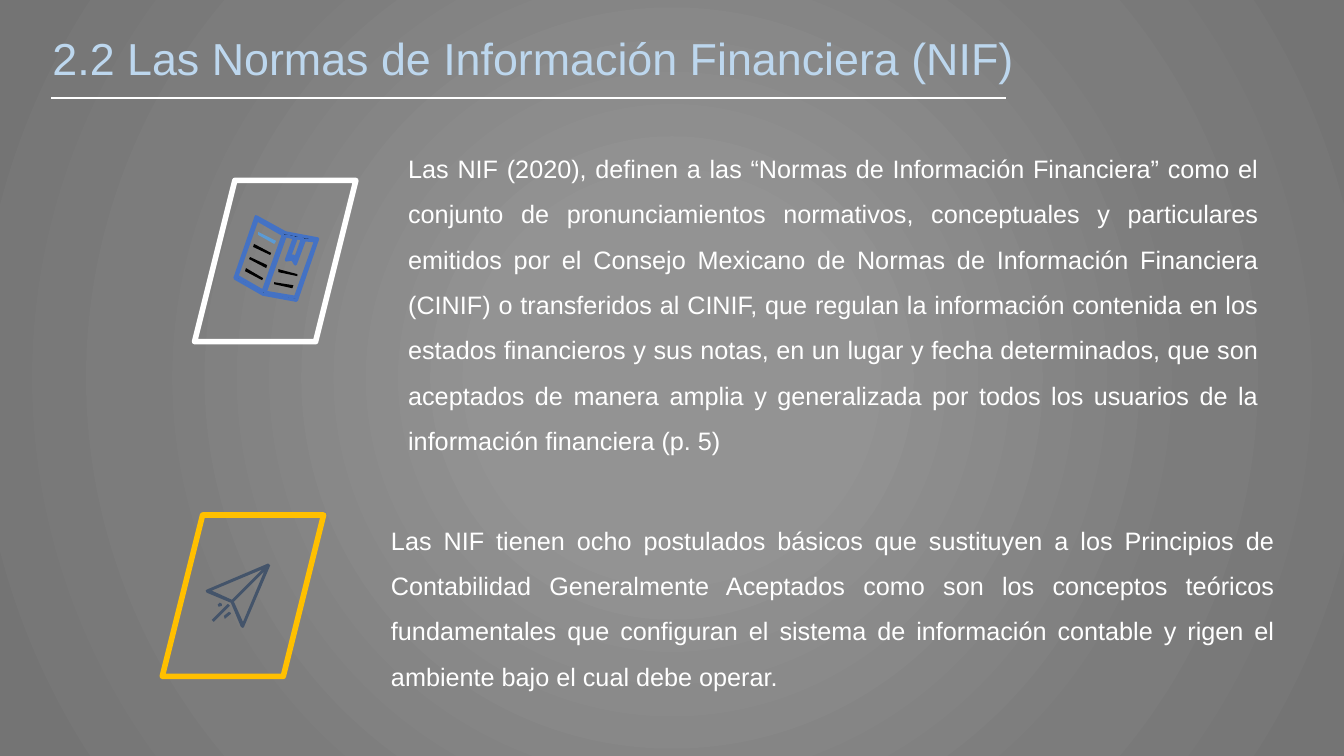
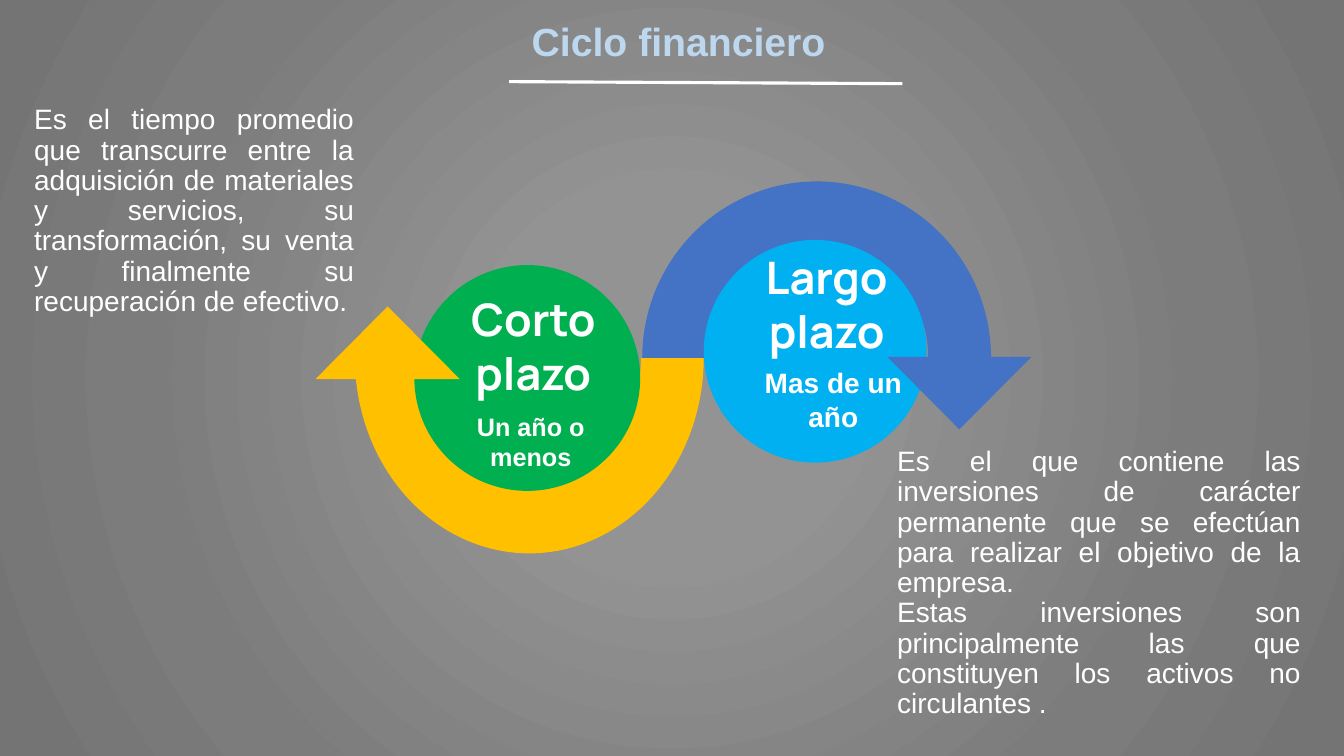
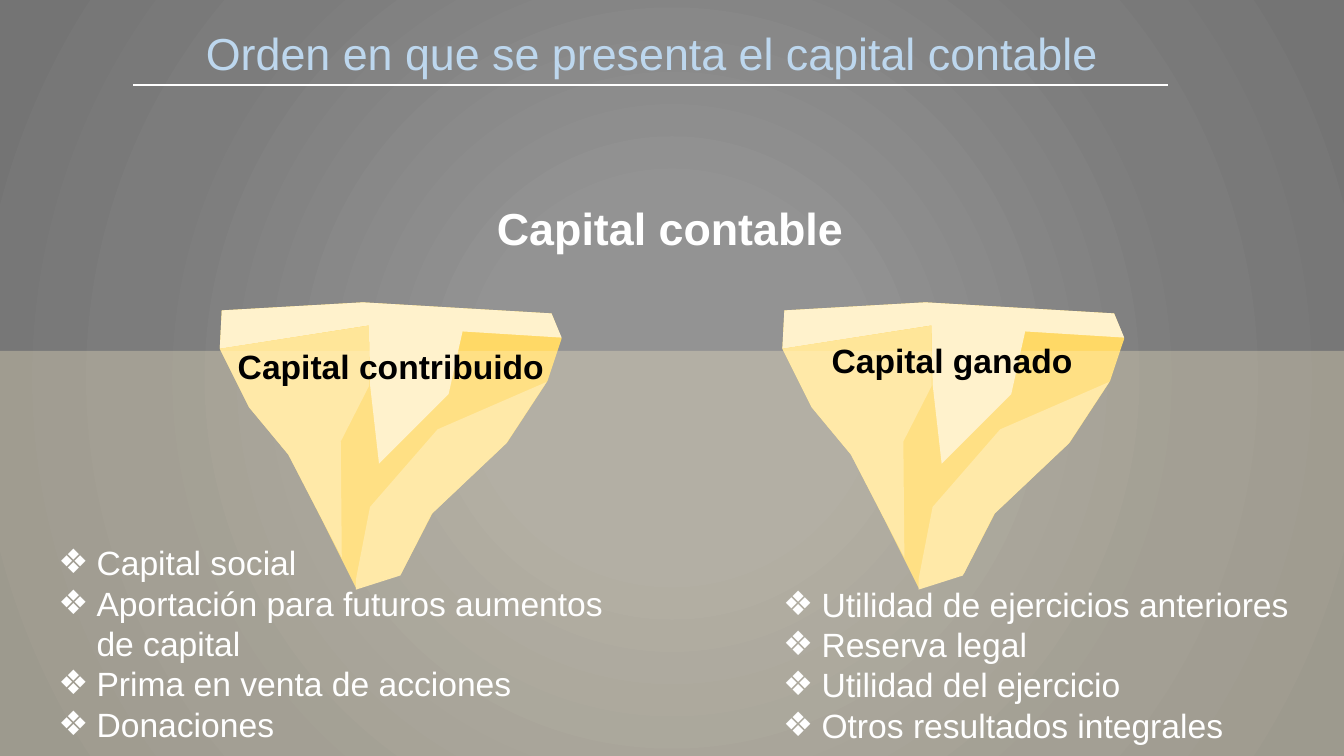
from pptx import Presentation
from pptx.dml.color import RGBColor
from pptx.enum import shapes, text
from pptx.oxml import parse_xml
from pptx.oxml.ns import nsdecls, qn
from pptx.util import Pt

PX = 9144
WIDTH, HEIGHT = 1333, 750
WHITE = RGBColor(0xFF, 0xFF, 0xFF)
BLACK = RGBColor(0x00, 0x00, 0x00)
PALE_BLUE = RGBColor(0xBD, 0xD7, 0xEE)
SKY = RGBColor(0x5B, 0x9B, 0xD5)
BLUE = RGBColor(0x44, 0x72, 0xC4)
CYAN = RGBColor(0x00, 0xB0, 0xF0)
SLATE = RGBColor(0x44, 0x54, 0x6A)
GREEN = RGBColor(0x00, 0xB0, 0x50)
AMBER = RGBColor(0xFF, 0xC0, 0x00)
GOLD = RGBColor(0xFF, 0xD9, 0x66)
SAND = RGBColor(0xFF, 0xE6, 0x99)
CREAM = RGBColor(0xFF, 0xF2, 0xCC)
LEFT, CENTER, JUSTIFY = text.PP_ALIGN.LEFT, text.PP_ALIGN.CENTER, text.PP_ALIGN.JUSTIFY
TOP, MIDDLE = text.MSO_ANCHOR.TOP, text.MSO_ANCHOR.MIDDLE
PRESET = shapes.MSO_SHAPE


def write(shape, lines, size, color=WHITE, bold=False, name="Arial",
          align=LEFT, spacing=1.0, anchor=TOP, bullet=None):
    frame = shape.text_frame
    frame_format = {"word_wrap": True, "auto_size": text.MSO_AUTO_SIZE.NONE, "vertical_anchor": anchor}
    for key, value in frame_format.items():
        setattr(frame, key, value)
    for index, line in enumerate(lines):
        para = frame.add_paragraph() if index else frame.paragraphs[0]
        para.alignment, para.line_spacing = align, spacing
        span = para.add_run()
        span.text = line
        for key, value in {"size": Pt(size), "bold": bold, "name": name}.items():
            setattr(span.font, key, value)
        span.font.color.rgb = color
        if bullet:
            properties = para._p.get_or_add_pPr()
            properties.set("marL", str(38 * PX))
            properties.set("indent", str(-38 * PX))
            properties.append(parse_xml(f'<a:buFont {nsdecls("a")} typeface="Arial"/>'))
            properties.append(parse_xml(f'<a:buChar {nsdecls("a")} char="{bullet}"/>'))


def paint(shape, fill=None, line=None, weight=1):
    shape.shadow.inherit = False
    if fill is None:
        shape.fill.background()
    else:
        shape.fill.solid()
        shape.fill.fore_color.rgb = fill
    if line is None:
        shape.line.fill.background()
    else:
        shape.line.color.rgb = line
        shape.line.width = Pt(weight)
    return shape


deck = Presentation()
deck.slide_width, deck.slide_height = WIDTH * PX, HEIGHT * PX

master = deck.slide_master
master.background.fill.solid()
backdrop = master.element.xpath("p:cSld/p:bg/p:bgPr")[0]
stops = "".join(
    f'<a:gs pos="{percent * 1000}"><a:srgbClr val="{gray}"/></a:gs>'
    for percent, gray in [(0, "939393"), (23, "939393"), (69, "7C7C7C"), (97, "747474")]
)
backdrop.replace(backdrop[0], parse_xml(
    f'<a:gradFill {nsdecls("a")} rotWithShape="1"><a:gsLst>{stops}</a:gsLst><a:path path="circle">'
    '<a:fillToRect l="50000" t="50000" r="50000" b="50000"/></a:path></a:gradFill>'
))

HEADINGS = [
    ("2.2 Las Normas de Información Financiera (NIF)", (42, 25, 1215, 64),
     {"size": 32}, (51, 97, 998, 97), 1.5),
    ("Ciclo financiero", (122, 12, 1102, 57),
     {"size": 28, "bold": True, "align": CENTER}, (505, 81, 895, 83), 2.25),
    ("Orden en que se presenta el capital contable", (181, 20, 932, 64),
     {"size": 32, "align": CENTER}, (132, 84, 1158, 84), 1.5),
]
pages = []
for heading, box, look, rule, weight in HEADINGS:
    page = deck.slides.add_slide(deck.slide_layouts[5])
    title = page.shapes.title
    for side, length in zip(("left", "top", "width", "height"), box):
        setattr(title, side, length * PX)
    write(title, [heading], color=PALE_BLUE, **look)
    underline = page.shapes.add_connector(shapes.MSO_CONNECTOR.STRAIGHT, *[end * PX for end in rule])
    underline.line.color.rgb = WHITE
    underline.line.width = Pt(weight)
    underline._element.spPr.append(parse_xml(f'<a:effectLst {nsdecls("a")}/>'))
    pages.append(page)
norms, cycle, capital = pages

for left, top, color in [(193, 179, WHITE), (161, 511, AMBER)]:
    frame = norms.shapes.add_shape(PRESET.PARALLELOGRAM, left * PX, top * PX, 160 * PX, 160 * PX)
    paint(frame, line=color, weight=4)
    frame._element.spPr.find(qn("a:ln")).append(parse_xml(f'<a:round {nsdecls("a")}/>'))

PLANE = [
    [(205, 585), (266, 559), (268, 561), (242, 622), (241, 623), (239, 622), (229, 598), (205, 588), (204, 586)],
    [(241, 617), (232, 597), (262, 567)],
    [(210, 586), (260, 565), (230, 595)],
    [(227, 607), (222, 611), (223, 614), (229, 609), (229, 608)],
    [(226, 599), (211, 614), (210, 615), (212, 617), (227, 602), (228, 601)],
    [(218, 598), (216, 600), (217, 602), (220, 601), (220, 599)],
]
BOOK = [
    [(254, 215), (233, 276), (261, 292), (294, 298), (315, 237), (283, 231)],
    [(255, 218), (281, 233), (261, 289), (235, 274)],
    [(293, 295), (263, 290), (283, 234), (292, 236), (284, 258), (290, 257), (293, 262), (302, 238), (313, 239)],
    [(294, 236), (300, 237), (293, 257), (291, 254), (287, 255)],
]
BLUE_ROW = [[(256, 230), (274, 239), (272, 242), (256, 233)]]
BLACK_ROWS = [
    [(268, 253), (251, 245), (252, 242), (269, 251)],
    [(264, 266), (247, 257), (248, 255), (265, 263)],
    [(260, 278), (243, 269), (244, 266), (261, 276)],
    [(276, 270), (276, 267), (295, 272), (295, 274)],
    [(272, 282), (272, 280), (291, 283), (290, 286)],
]
ICEBERG = [
    (GOLD, [(543, 378), (557, 336), (547, 311), (360, 300), (220, 308), (218, 346), (247, 404),
            (286, 451), (320, 517), (353, 583), (398, 569), (429, 509), (503, 439)]),
    (SAND, [(353, 585), (353, 575), (367, 503), (434, 426), (542, 379), (502, 440), (428, 510), (397, 571)]),
    (CREAM, [(557, 335), (365, 323), (218, 346), (220, 308), (360, 300), (547, 311)]),
    (SAND, [(366, 323), (366, 383), (338, 438), (339, 553), (286, 451), (247, 404), (218, 346)]),
    (CREAM, [(459, 328), (445, 391), (376, 460), (367, 381), (366, 322)]),
]
outlines = [
    (norms, PLANE, SLATE, None),
    (norms, BOOK, BLACK, BLUE),
    (norms, BLUE_ROW, SKY, None),
    (norms, BLACK_ROWS, BLACK, None),
]
for shift in (0, 558):
    for color, points in ICEBERG:
        outlines.append((capital, [[(x + shift, y) for x, y in points]], color, None))
for page, contours, fill, line in outlines:
    builder = page.shapes.build_freeform(*contours[0][0], scale=PX)
    for index, contour in enumerate(contours):
        if index:
            builder.move_to(*contour[0])
        builder.add_line_segments(contour[1:], close=True)
    paint(builder.convert_to_shape(), fill, line, 2.25)

CYCLE_PARTS = [
    (PRESET.BLOCK_ARC, (352, 161, 346, 388), AMBER, (0, 108, 0.18), 0),
    (PRESET.OVAL, (411, 263, 224, 224), GREEN, (), 0),
    (PRESET.BLOCK_ARC, (637, 180, 346, 350), BLUE, (108, 0, 0.18), 0),
    (PRESET.OVAL, (698, 238, 221, 221), CYAN, (), 0),
    (PRESET.ISOSCELES_TRIANGLE, (313, 304, 143, 72), AMBER, (), 0),
    (PRESET.ISOSCELES_TRIANGLE, (880, 354, 143, 72), BLUE, (), 180),
]
for kind, box, color, adjustments, rotation in CYCLE_PARTS:
    part = paint(cycle.shapes.add_shape(kind, *[length * PX for length in box]), color)
    part.rotation = rotation
    for index, value in enumerate(adjustments):
        part.adjustments[index] = value

water = paint(capital.shapes.add_shape(PRESET.RECTANGLE, 0, 348 * PX, WIDTH * PX, (HEIGHT - 348) * PX), CREAM)
water_color = water._element.spPr.find(qn("a:solidFill"))[0]
water_color.append(parse_xml(f'<a:alpha {nsdecls("a")} val="30000"/>'))

BODY = {"size": 18, "align": JUSTIFY, "spacing": 1.5}
NOTE = {"size": 20, "align": JUSTIFY, "spacing": 0.9}
TERM = {"size": 32, "bold": True, "name": "Manrope", "align": CENTER, "anchor": MIDDLE}
SPAN = {"bold": True, "align": CENTER}
LABEL = {"size": 24, "color": BLACK, "bold": True}
LIST = {"size": 24, "bullet": "❖"}
TEXTS = [
    (norms, (395, 132, 863, 328), BODY, [
        "Las NIF (2020), definen a las “Normas de Información Financiera” como el conjunto de "
        "pronunciamientos normativos, conceptuales y particulares emitidos por el Consejo Mexicano de "
        "Normas de Información Financiera (CINIF) o transferidos al CINIF, que regulan la información "
        "contenida en los estados financieros y sus notas, en un lugar y fecha determinados, que son "
        "aceptados de manera amplia y generalizada por todos los usuarios de la información financiera (p. 5)",
    ]),
    (norms, (378, 501, 896, 192), BODY, [
        "Las NIF tienen ocho postulados básicos que sustituyen a los Principios de Contabilidad "
        "Generalmente Aceptados como son los conceptos teóricos fundamentales que configuran el sistema "
        "de información contable y rigen el ambiente bajo el cual debe operar.",
    ]),
    (cycle, (447, 284, 164, 118), TERM, ["Corto", "plazo"]),
    (cycle, (737, 242, 166, 118), TERM, ["Largo", "plazo"]),
    (cycle, (24, 100, 337, 222), NOTE, [
        "Es el tiempo promedio que transcurre entre la adquisición de materiales y servicios, su "
        "transformación, su venta y finalmente su recuperación de efectivo.",
    ]),
    (cycle, (880, 439, 420, 283), NOTE, [
        "Es el que contiene las inversiones de carácter permanente que se efectúan para realizar el "
        "objetivo de la empresa.",
        "Estas inversiones son principalmente las que constituyen los activos no circulantes .",
    ]),
    (cycle, (441, 403, 171, 71), {"size": 18, **SPAN}, ["Un año o menos"]),
    (cycle, (741, 358, 171, 77), {"size": 20, **SPAN}, ["Mas de un año"]),
    (capital, (226, 338, 366, 50), LABEL, ["Capital contribuido"]),
    (capital, (815, 332, 366, 50), LABEL, ["Capital ganado"]),
    (capital, (483, 194, 366, 64), {"size": 32, "bold": True}, ["Capital contable"]),
    (capital, (767, 574, 566, 176), LIST, [
        "Utilidad de ejercicios anteriores", "Reserva legal", "Utilidad del ejercicio",
        "Otros resultados integrales",
    ]),
    (capital, (48, 533, 566, 217), LIST, [
        "Capital social", "Aportación para futuros aumentos de capital", "Prima en venta de acciones",
        "Donaciones",
    ]),
]
for page, box, look, lines in TEXTS:
    write(page.shapes.add_textbox(*[length * PX for length in box]), lines, **look)

deck.save("out.pptx")
